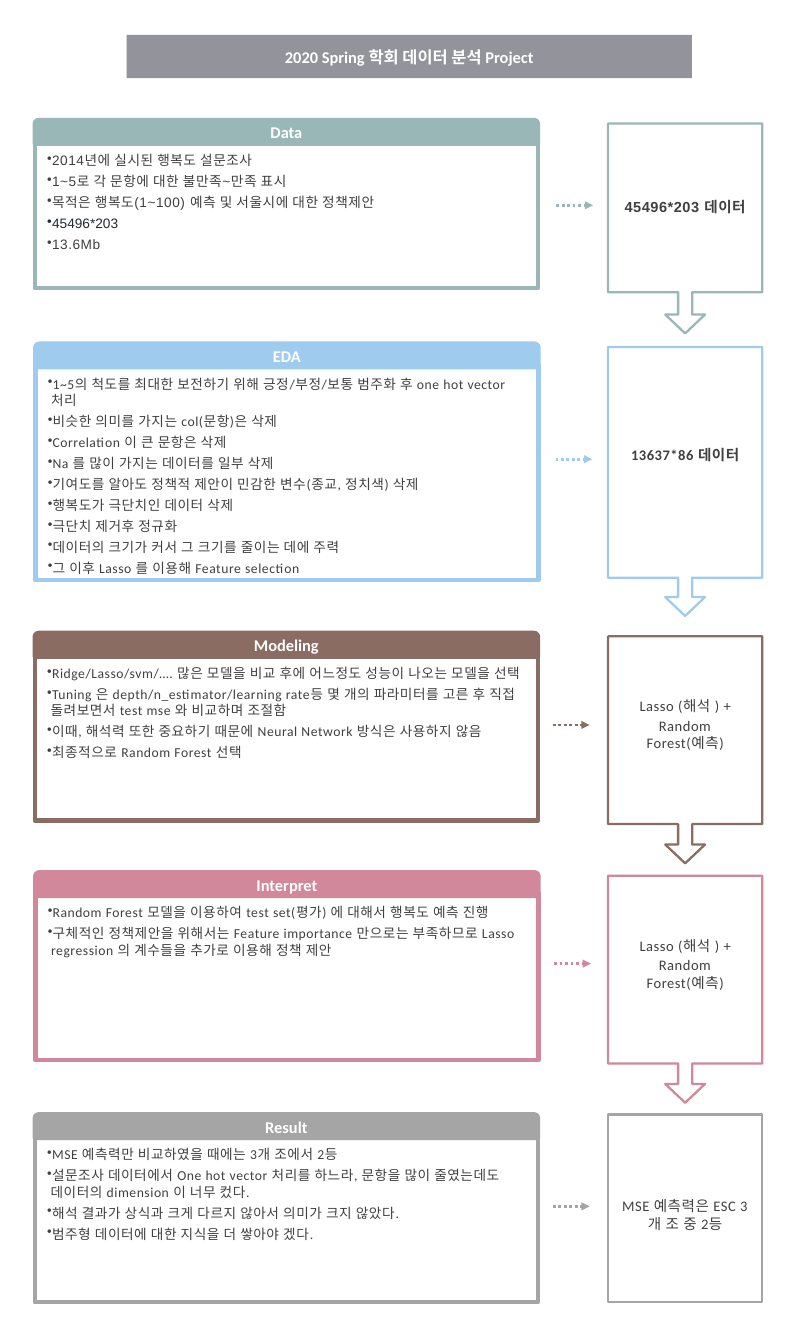
from dataclasses import dataclass

from lxml import etree
from pptx import Presentation
from pptx.dml.color import RGBColor
from pptx.enum.dml import MSO_LINE
from pptx.enum.shapes import MSO_CONNECTOR, MSO_SHAPE
from pptx.enum.text import MSO_ANCHOR, MSO_AUTO_SIZE, PP_ALIGN
from pptx.oxml.ns import qn
from pptx.util import Cm, Pt

RECT = MSO_SHAPE.RECTANGLE
ROUND_TOP = MSO_SHAPE.ROUND_2_SAME_RECTANGLE
DOWN_CALLOUT = MSO_SHAPE.DOWN_ARROW_CALLOUT
STRAIGHT = MSO_CONNECTOR.STRAIGHT
DOTTED = MSO_LINE.ROUND_DOT
LEFT, CENTER = PP_ALIGN.LEFT, PP_ALIGN.CENTER
TOP, MIDDLE = MSO_ANCHOR.TOP, MSO_ANCHOR.MIDDLE
FIXED_SIZE = MSO_AUTO_SIZE.NONE

COLORS = {
    "white": "FFFFFF", "text": "404040", "ink": "24292E", "banner": "93939B",
    "data": "9AB7B8", "eda": "9FCCEE", "modeling": "8B6C63",
    "interpret": "D0889A", "result": "A5A5A5",
}
RAW_SIZE = "45496*203"
PANEL_WIDTH, HEADER_HEIGHT, BODY_OFFSET = 19.48, 0.91, 0.82
OUTCOME_CENTER, OUTCOME_WIDTH = 26.53, 5.97
ARROW_LENGTH = 1.42


@dataclass
class Stage:
    """One row of the flow; lengths in cm, shift moves the outcome text down."""
    heading: str
    color: str
    left: float
    top: float
    body_height: float
    outcome_height: float
    box_share: float
    arrow_start: tuple
    shift: float
    outcome: list
    bullets: list
    font: str = "Calibri"
    bold_outcome: bool = False


MODEL_OUTCOME = ["Lasso (해석 ) +", "Random Forest(예측)"]

STAGES = [
    Stage("Data", "data", 1.35, 4.65, 5.69, 8.13, 0.804, (21.54, 7.95), -0.08,
          ["45496*203 데이터"],
          ["2014년에 실시된 행복도 설문조사",
           "1~5로 각 문항에 대한 불만족~만족 표시",
           "목적은 행복도(1~100) 예측 및 서울시에 대한 정책제안",
           RAW_SIZE,
           "13.6Mb"],
          font="Arial", bold_outcome=True),
    Stage("EDA", "eda", 1.37, 13.31, 8.33, 10.41, 0.858, (21.51, 17.78), -0.58,
          ["13637*86 데이터"],
          ["1~5의 척도를 최대한 보전하기 위해 긍정/부정/보통 범주화 후 one hot vector 처리",
           "비슷한 의미를 가지는 col(문항)은 삭제",
           "Correlation 이 큰 문항은 삭제",
           "Na 를 많이 가지는 데이터를 일부 삭제",
           "기여도를 알아도 정책적 제안이 민감한 변수(종교, 정치색) 삭제",
           "행복도가 극단치인 데이터 삭제",
           "극단치 제거후 정규화",
           "데이터의 크기가 커서 그 크기를 줄이는 데에 주력",
           "그 이후 Lasso 를 이용해 Feature selection"],
          bold_outcome=True),
    Stage("Modeling", "modeling", 1.35, 24.51, 6.45, 8.79, 0.827, (21.41, 28.07), -0.44,
          MODEL_OUTCOME,
          ["Ridge/Lasso/svm/…. 많은 모델을 비교 후에 어느정도 성능이 나오는 모델을 선택",
           "Tuning 은 depth/n_estimator/learning rate등 몇 개의 파라미터를 고른 후 "
           "직접 돌려보면서 test mse 와 비교하며 조절함",
           "이때, 해석력 또한 중요하기 때문에 Neural Network 방식은 사용하지 않음",
           "최종적으로 Random Forest 선택"]),
    Stage("Interpret", "interpret", 1.37, 33.78, 6.45, 8.79, 0.827, (21.46, 37.31), -0.44,
          MODEL_OUTCOME,
          ["Random Forest 모델을 이용하여 test set(평가) 에 대해서 행복도 예측 진행",
           "구체적인 정책제안을 위해서는 Feature importance 만으로는 부족하므로 "
           "Lasso regression 의 계수들을 추가로 이용해 정책 제안"]),
    Stage("Result", "result", 1.35, 43.15, 6.45, 7.26, 1, (21.41, 46.71), 0.5,
          ["MSE 예측력은 ESC 3개 조 중 2등"],
          ["MSE 예측력만 비교하였을 때에는 3개 조에서 2등",
           "설문조사 데이터에서 One hot vector 처리를 하느라, 문항을 많이 줄였는데도 "
           "데이터의 dimension 이 너무 컸다.",
           "해석 결과가 상식과 크게 다르지 않아서 의미가 크지 않았다.",
           "범주형 데이터에 대한 지식을 더 쌓아야 겠다."]),
]


class FlowSlide:
    def __init__(self, slide):
        self.slide = slide

    def rgb(self, color):
        return RGBColor.from_string(COLORS[color])

    def box(self, kind, left, top, width, height, fill, line, weight):
        shape = self.slide.shapes.add_shape(kind, Cm(left), Cm(top), Cm(width), Cm(height))
        shape.shadow.inherit = False
        shape.fill.solid()
        shape.fill.fore_color.rgb = self.rgb(fill)
        shape.line.color.rgb = self.rgb(line)
        shape.line.width = Pt(weight)
        return shape

    def frame(self, shape, anchor, left=0, top=0, right=0, bottom=0):
        """Set up the text area of a shape, with margins in cm."""
        frame = shape.text_frame
        frame.word_wrap = True
        frame.auto_size = FIXED_SIZE
        frame.vertical_anchor = anchor
        frame.margin_left, frame.margin_top = Cm(left), Cm(top)
        frame.margin_right, frame.margin_bottom = Cm(right), Cm(bottom)
        return frame

    def add_lines(self, frame, lines, size, color, font="Calibri", bold=False,
                  align=CENTER, before=0, spacing=0.6):
        for index, line in enumerate(lines):
            paragraph = frame.paragraphs[0] if index == 0 else frame.add_paragraph()
            paragraph.alignment = align
            paragraph.space_before = Pt(before)
            run = paragraph.add_run()
            run.text = line
            run.font.name, run.font.size, run.font.bold = font, Pt(size), bold
            run.font.color.rgb = self.rgb(color)
            run.font._element.set("spc", str(round(spacing * 100)))

    def title(self, text):
        banner = self.slide.shapes.title
        banner.left, banner.top = Cm(4.9), Cm(1.35)
        banner.width, banner.height = Cm(21.89), Cm(1.68)
        etree.SubElement(banner._element.spPr, qn("a:prstGeom"), prst="chevron")
        banner.fill.solid()
        banner.fill.fore_color.rgb = self.rgb("banner")
        self.add_lines(self.frame(banner, MIDDLE), [text], 18, "white",
                       bold=True, spacing=0)

    def panel(self, stage):
        body = self.box(RECT, stage.left, stage.top + BODY_OFFSET, PANEL_WIDTH,
                        stage.body_height, "white", stage.color, 5)
        frame = self.frame(body, TOP, left=0.48, top=0.41, right=0.58)
        self.add_lines(frame, stage.bullets, 15, "text", stage.font, align=LEFT, before=5)
        for paragraph in frame.paragraphs:
            properties = paragraph._p.get_or_add_pPr()
            properties.set("marL", str(Cm(0.13)))
            properties.set("indent", str(-Cm(0.13)))
            etree.SubElement(properties, qn("a:buChar"), char="•")
            if paragraph.text == RAW_SIZE:
                font = paragraph.runs[0].font
                font.color.rgb = self.rgb("ink")
                font._element.set("spc", "0")
        header = self.box(ROUND_TOP, stage.left, stage.top, PANEL_WIDTH, HEADER_HEIGHT,
                          stage.color, stage.color, 5)
        self.add_lines(self.frame(header, MIDDLE), [stage.heading], 18, "white",
                       bold=True, spacing=0)

    def outcome(self, stage):
        is_last = stage.box_share == 1
        top = stage.top if is_last else stage.top + 0.13
        shape = self.box(RECT if is_last else DOWN_CALLOUT,
                         OUTCOME_CENTER - OUTCOME_WIDTH / 2, top, OUTCOME_WIDTH,
                         stage.outcome_height, "white", stage.color, 2.5)
        if not is_last:
            for index, value in enumerate((0.091, 0.129, 0.122, stage.box_share)):
                shape.adjustments[index] = value
        side = 0.25 if stage.bold_outcome else 0.51
        frame = self.frame(shape, MIDDLE, side, max(stage.shift, 0),
                           side, max(-stage.shift, 0))
        self.add_lines(frame, stage.outcome, 16, "text", stage.font,
                       stage.bold_outcome, before=2.4)

    def arrow(self, stage):
        x, y = stage.arrow_start
        arrow = self.slide.shapes.add_connector(
            STRAIGHT, Cm(x), Cm(y), Cm(x + ARROW_LENGTH), Cm(y))
        arrow.line.color.rgb = self.rgb(stage.color)
        arrow.line.width = Pt(3)
        arrow.line.dash_style = DOTTED
        etree.SubElement(arrow.line._get_or_add_ln(), qn("a:tailEnd"), type="triangle")
        etree.SubElement(arrow._element.spPr, qn("a:effectLst"))


def main():
    deck = Presentation()
    deck.slide_width, deck.slide_height = Cm(30.86), Cm(52.04)
    flow = FlowSlide(deck.slides.add_slide(deck.slide_layouts[5]))
    flow.title("2020 Spring 학회 데이터 분석 Project")
    for stage in STAGES:
        flow.panel(stage)
        flow.outcome(stage)
        flow.arrow(stage)
    deck.save("out.pptx")


if __name__ == "__main__":
    main()
